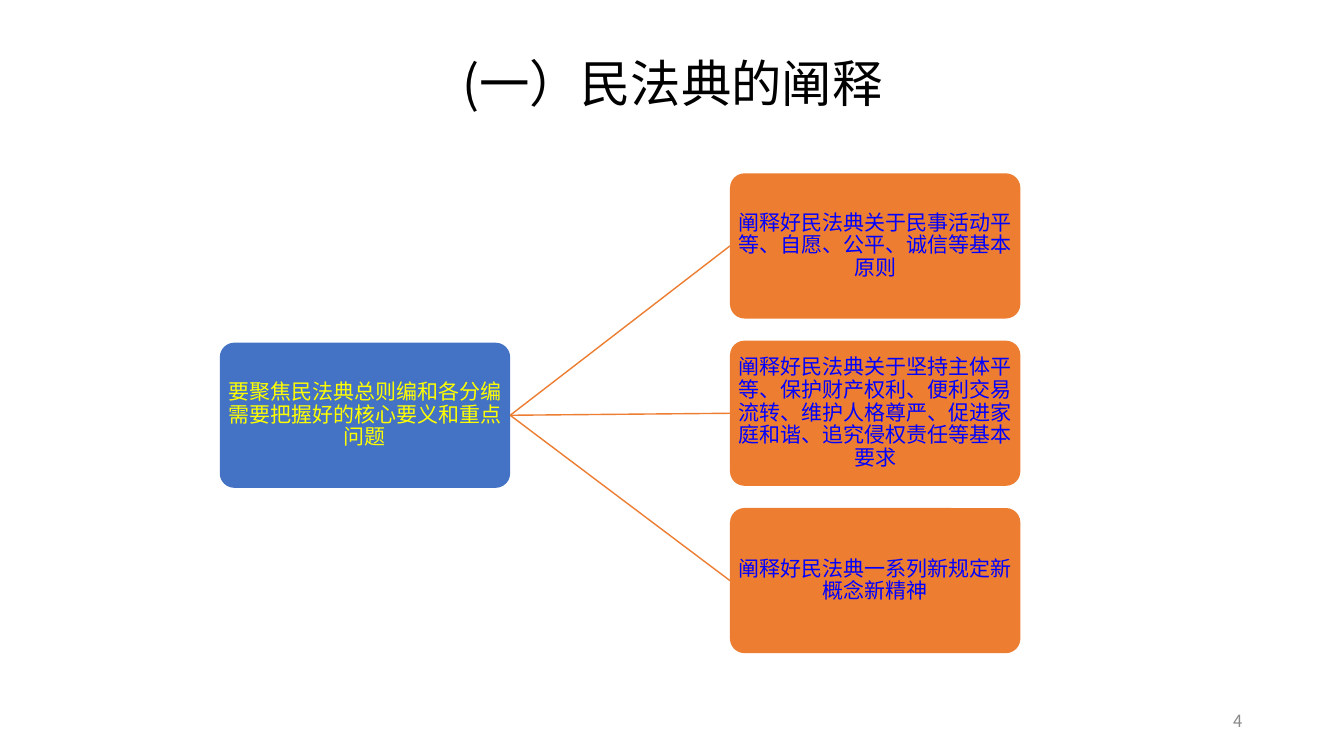
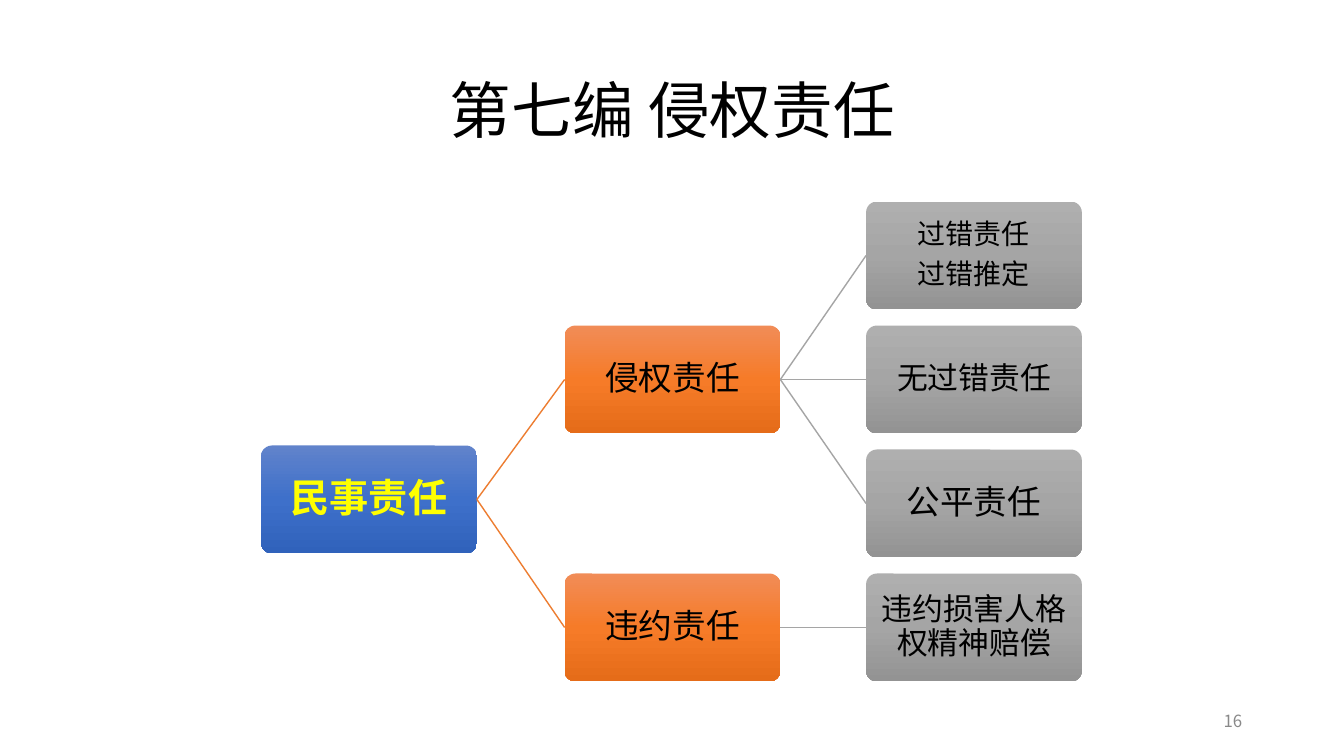
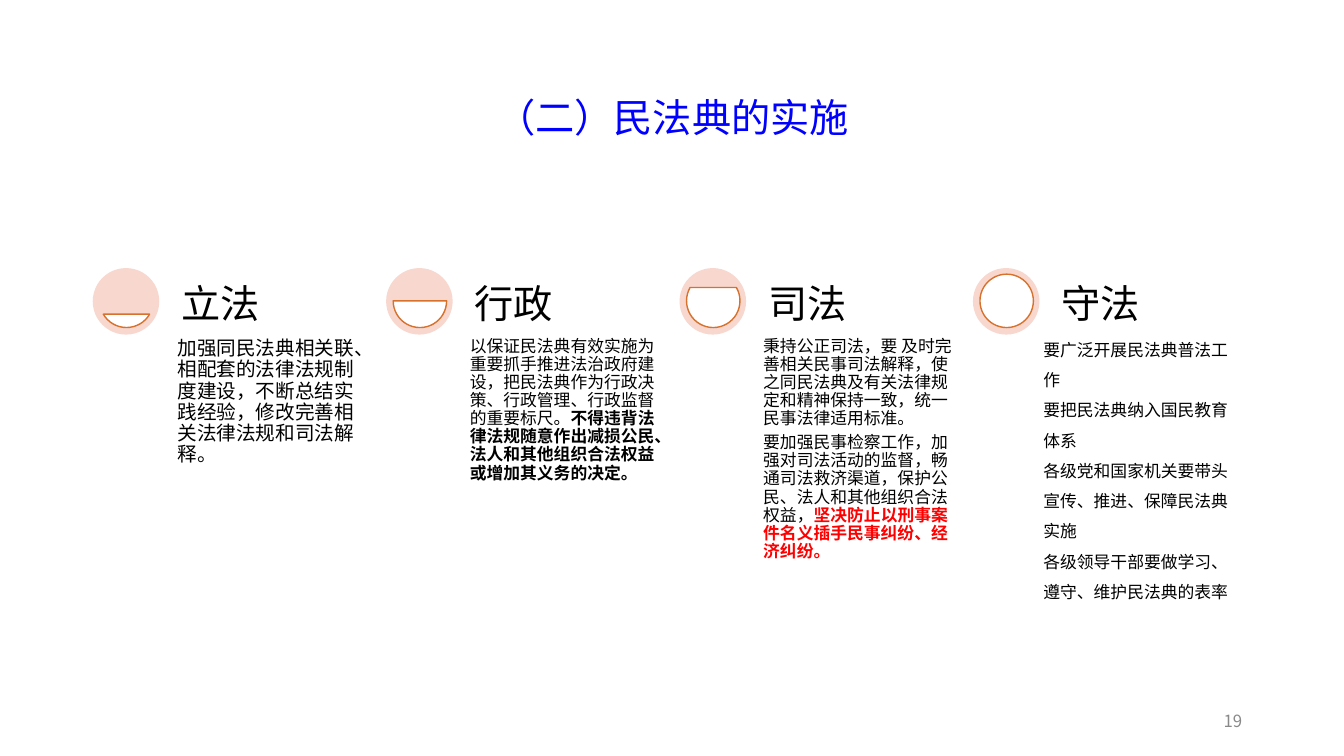
"""Build three slides on the Civil Code: two trees and a four-step row."""
from copy import deepcopy

from lxml.etree import SubElement
from pptx import Presentation
from pptx.dml.color import RGBColor as RGB
from pptx.enum.shapes import MSO_CONNECTOR as LINK, MSO_SHAPE as SHAPE
from pptx.enum.text import MSO_ANCHOR as ANCHOR, PP_ALIGN as ALIGN
from pptx.oxml.ns import qn
from pptx.util import Inches, Pt


class Theme:
    font = "Noto Sans CJK SC"
    black, white, gray = "000000", "FFFFFF", "898989"
    blue, yellow, red = "0000FF", "FFFF00", "FF0000"
    navy, orange, silver = "4472C4", "ED7D31", "A5A5A5"
    pink, rust = "F8D7CE", "D7712C"
    fades = {
        "navy": ("6183CB", "3E70CA", "3062BB"),
        "orange": ("F18C57", "F67B28", "E56C19"),
        "silver": ("AFAFAF", "A5A5A5", "939393"),
    }
    huge, large, head, mid, semi, sub = 44, 36, 28, 24, 22, 20
    node, body, small = 15, 14, 12


def write(shape, paras, size, color=Theme.black, align=ALIGN.LEFT,
          anchor=ANCHOR.TOP, inset=None, lead=0.9, gap=0.35, mark=Theme.black):
    """Fill a shape with paragraphs; a paragraph is (plain, strong) or (plain,)."""
    frame = shape.text_frame
    frame.word_wrap = True
    frame.vertical_anchor = anchor
    if inset is not None:
        frame.margin_left = frame.margin_right = Inches(inset)
        frame.margin_top = frame.margin_bottom = Inches(inset)
    for i, (plain, *strong) in enumerate(paras):
        para = frame.add_paragraph() if i else frame.paragraphs[0]
        para.alignment, para.line_spacing = align, lead
        para.space_before, para.space_after = Pt(0), Pt(size * gap)
        para.font.name, para.font.size = Theme.font, Pt(size)
        para.font.color.rgb = RGB.from_string(color)
        props = para._p.get_or_add_pPr().get_or_add_defRPr()
        SubElement(props, qn("a:ea"), typeface=Theme.font)
        para.add_run().text = plain
        for text in strong:
            run = para.add_run()
            run.text = text
            run.font.bold = True
            run.font.color.rgb = RGB.from_string(mark)


def draw(slide, kind, x, y, w, h, fill, line=None):
    """Add a flat preset shape; a fill is a colour or three gradient stops."""
    shape = slide.shapes.add_shape(kind, Inches(x), Inches(y), Inches(w), Inches(h))
    shape.shadow.inherit = False
    if isinstance(fill, tuple):
        shape.fill.gradient()
        shape.fill.gradient_angle = 270
        first = shape.fill.gradient_stops[0]._gs
        first.addnext(deepcopy(first))
        for stop, color, place in zip(shape.fill.gradient_stops, fill, (0, 0.5, 1)):
            stop.color.rgb, stop.position = RGB.from_string(color), place
    else:
        shape.fill.solid()
        shape.fill.fore_color.rgb = RGB.from_string(fill)
    if line:
        shape.line.color.rgb, shape.line.width = RGB.from_string(line), Pt(1)
    else:
        shape.line.fill.background()
    return shape


deck = Presentation()
deck.slide_width, deck.slide_height = Inches(13.33), Inches(7.5)

heads = [
    ("(一）民法典的阐释", Theme.large, Theme.black, 0.13, "4"),
    ("第七编 侵权责任", Theme.huge, Theme.black, 0.4, "16"),
    ("（二）民法典的实施", Theme.head, Theme.blue, 0.46, "19"),
]
for text, size, color, top, number in heads:
    slide = deck.slides.add_slide(deck.slide_layouts[5])
    title = slide.shapes.title
    title.left, title.top = Inches(0.92), Inches(top)
    title.width, title.height = Inches(11.5), Inches(1.45)
    write(title, [(text,)], size, color, ALIGN.CENTER, ANCHOR.MIDDLE, gap=0)
    foot = slide.shapes.add_textbox(Inches(9.42), Inches(6.95), Inches(3), Inches(0.4))
    write(foot, [(number,)], Theme.small, Theme.gray, ALIGN.RIGHT, ANCHOR.MIDDLE,
          lead=1, gap=0)
plan, duty, steps = deck.slides

aims = [
    "阐释好民法典关于民事活动平等、自愿、公平、诚信等基本原则",
    "阐释好民法典关于坚持主体平等、保护财产权利、便利交易流转、维护人格尊严、促进家庭和谐、追究侵权责任等基本要求",
    "阐释好民法典一系列新规定新概念新精神",
]
focus = [(2.18, 3.4, Theme.navy, Theme.node, Theme.yellow,
          ["要聚焦民法典总则编和各分编需要把握好的核心要义和重点问题"])]
focus += [(7.24, 1.72 + 1.66 * i, Theme.orange, Theme.node, Theme.blue, [aim])
          for i, aim in enumerate(aims)]

kinds = [
    (Theme.sub, ["过错责任", "过错推定"]),
    (Theme.semi, ["无过错责任"]),
    (Theme.mid, ["公平责任"]),
    (Theme.semi, ["违约损害人格权精神赔偿"]),
]
rows = [2 + 1.23 * i for i in range(4)]
fades = Theme.fades
civil = [
    (2.59, 4.42, fades["navy"], Theme.head, Theme.yellow, ["民事责任"]),
    (5.6, rows[1], fades["orange"], Theme.mid, Theme.black, ["侵权责任"]),
    (5.6, rows[3], fades["orange"], Theme.mid, Theme.black, ["违约责任"]),
]
civil += [(8.59, y, fades["silver"], size, Theme.black, lines)
          for y, (size, lines) in zip(rows, kinds)]

trees = [
    (plan, 2.88, 0.01, focus, [(0, 1), (0, 2), (0, 3)]),
    (duty, 2.14, 0.02, civil, [(0, 1), (0, 2), (1, 3), (1, 4), (1, 5), (2, 6)]),
]
for slide, width, inset, nodes, links in trees:
    boxes = []
    for x, y, fill, size, color, lines in nodes:
        box = draw(slide, SHAPE.ROUNDED_RECTANGLE, x, y, width, width / 2, fill)
        box.adjustments[0] = 0.1
        write(box, [(line,) for line in lines], size, color, ALIGN.CENTER,
              ANCHOR.MIDDLE, inset)
        boxes.append(box)
    for start, end in links:
        link = slide.shapes.add_connector(LINK.STRAIGHT, 0, 0, 0, 0)
        link.begin_connect(boxes[start], 3)
        link.end_connect(boxes[end], 1)
        link.line.width = Pt(1)
        link.line.color.rgb = RGB.from_string(Theme.silver if start else Theme.orange)
        SubElement(link._element.spPr, qn("a:effectLst"))
    if slide is duty:
        boxes[0].text_frame.paragraphs[0].font.bold = True

law = [("加强同民法典相关联、相配套的法律法规制度建设，不断总结实践经验，修改完善相关法律法规和司法解释。",)]
rule = [(
    "以保证民法典有效实施为重要抓手推进法治政府建设，把民法典作为行政决策、行政管理、行政监督的重要标尺。",
    "不得违背法律法规随意作出减损公民、法人和其他组织合法权益或增加其义务的决定。",
)]
court = [
    ("秉持公正司法，要 及时完善相关民事司法解释，使之同民法典及有关法律规定和精神保持一致，统一民事法律适用标准。",),
    ("要加强民事检察工作，加强对司法活动的监督，畅通司法救济渠道，保护公民、法人和其他组织合法权益，",
     "坚决防止以刑事案件名义插手民事纠纷、经济纠纷。"),
]
public = [
    ("要广泛开展民法典普法工作",),
    ("要把民法典纳入国民教育体系",),
    ("各级党和国家机关要带头宣传、推进、保障民法典实施",),
    ("各级领导干部要做学习、遵守、维护民法典的表率",),
]
stages = [
    ("立法", (18, 90), law, Theme.body, {"inset": 0.04}),
    ("行政", (0, 108), rule, Theme.small, {"inset": 0.03}),
    ("司法", (198, 126), court, Theme.small, {"inset": 0.03, "mark": Theme.red}),
    ("守法", (162, 162), public, Theme.small, {"lead": 1.5, "gap": 0}),
]
for i, (name, angles, paras, size, style) in enumerate(stages):
    x = 0.92 + 2.91 * i
    draw(steps, SHAPE.OVAL, x, 2.66, 0.66, 0.66, Theme.pink)
    level = draw(steps, SHAPE.CHORD, x + 0.07, 2.72, 0.53, 0.53, Theme.white, Theme.rust)
    level.adjustments[0], level.adjustments[1] = angles
    label = steps.shapes.add_textbox(Inches(x + 0.8), Inches(2.66), Inches(1.97), Inches(0.66))
    write(label, [(name,)], Theme.head, anchor=ANCHOR.BOTTOM, inset=0.08)
    if paras is public:
        note = draw(steps, SHAPE.RECTANGLE, 10.25, 3.22, 2.06, 2.79, Theme.white)
    else:
        note = steps.shapes.add_textbox(Inches(x + 0.8), Inches(3.32), Inches(1.97), Inches(2.8))
    write(note, paras, size, **style)

deck.save("out.pptx")
